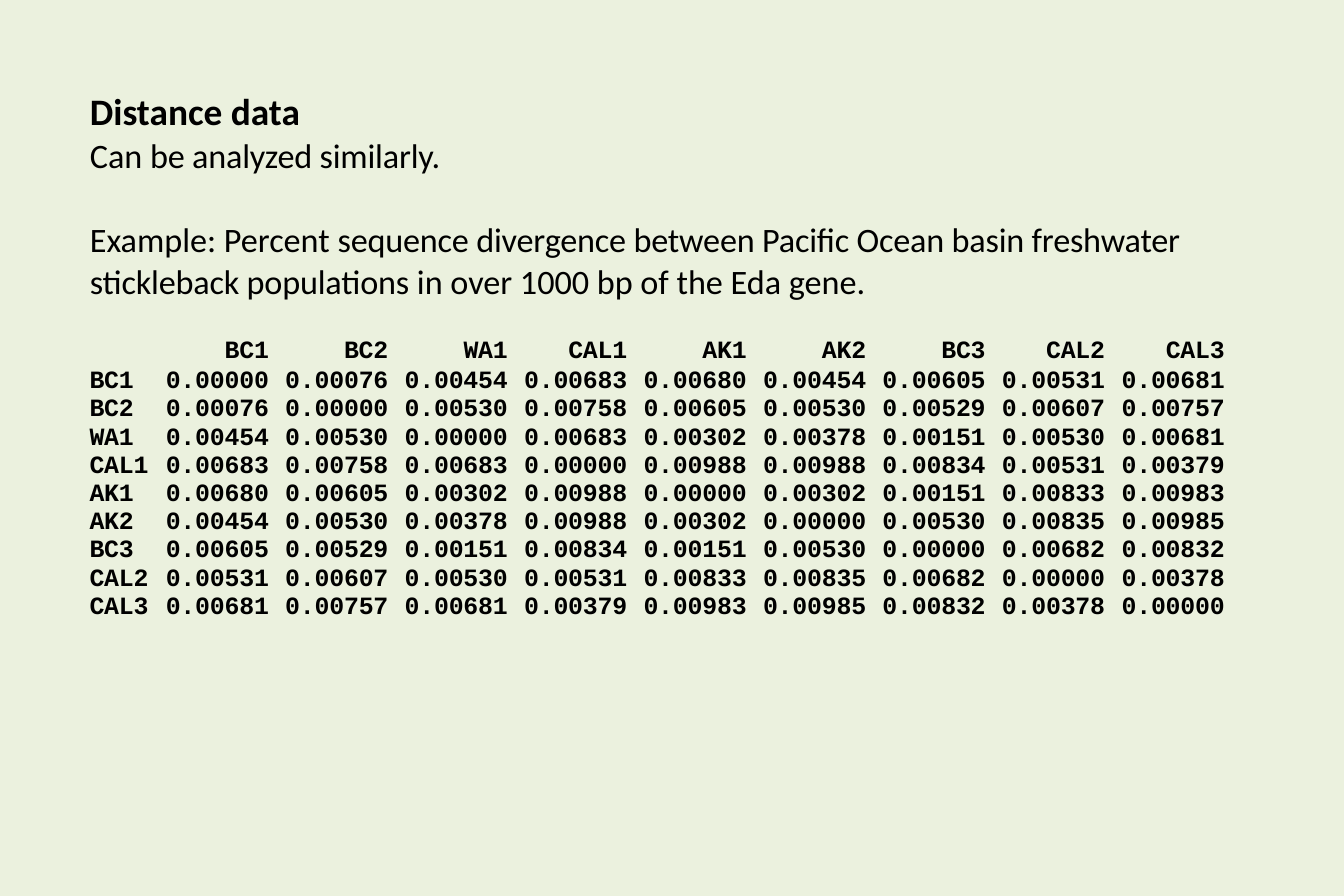
from pptx import Presentation
from pptx.dml.color import RGBColor
from pptx.enum.text import MSO_ANCHOR, PP_ALIGN
from pptx.util import Pt

LEFT, RIGHT, TOP = PP_ALIGN.LEFT, PP_ALIGN.RIGHT, MSO_ANCHOR.TOP
PALE_GREEN = RGBColor(0xEB, 0xF1, 0xDE)
BLACK = RGBColor(0, 0, 0)
BODY_FONT, DATA_FONT = "Calibri", "Courier New"
DATA_SIZE = 16
TIGHT = -0.1
NO_GRID_STYLE = "{2D5ABB26-0587-4C30-8999-92F81FD0307C}"

POPULATIONS = ["BC1", "BC2", "WA1", "CAL1", "AK1", "AK2", "BC3", "CAL2", "CAL3"]
# Lower triangle of the symmetric distance matrix
DIVERGENCE = [
    [0],
    [0.00076, 0],
    [0.00454, 0.00530, 0],
    [0.00683, 0.00758, 0.00683, 0],
    [0.00680, 0.00605, 0.00302, 0.00988, 0],
    [0.00454, 0.00530, 0.00378, 0.00988, 0.00302, 0],
    [0.00605, 0.00529, 0.00151, 0.00834, 0.00151, 0.00530, 0],
    [0.00531, 0.00607, 0.00530, 0.00531, 0.00833, 0.00835, 0.00682, 0],
    [0.00681, 0.00757, 0.00681, 0.00379, 0.00983, 0.00985, 0.00832, 0.00378, 0],
]


def add_run(paragraph, text, size, font=BODY_FONT, bold=False, spacing=0):
    run = paragraph.add_run()
    run.text = text
    run.font.name = font
    run.font.size = Pt(size)
    run.font.bold = bold
    run.font.color.rgb = BLACK
    if spacing:
        run.font._element.set("spc", str(round(spacing * 100)))


def add_text_frame(slide, left, top, width, height):
    frame = slide.shapes.add_textbox(Pt(left), Pt(top), Pt(width), Pt(height)).text_frame
    frame.word_wrap = True
    frame.margin_left = Pt(0.9)
    frame.margin_top = Pt(1.5)
    frame.margin_right = frame.margin_bottom = 0
    return frame


def add_heading(slide, left, top, width, height):
    frame = add_text_frame(slide, left, top, width, height)
    add_run(frame.paragraphs[0], "Distance data", 24, bold=True)
    remark = frame.add_paragraph()
    remark.space_before = Pt(0.6)
    add_run(remark, "Can ", 22)
    add_run(remark, "be analyzed similarly.", 22, spacing=TIGHT)


def add_example(slide, left, top, width, height):
    example = add_text_frame(slide, left, top, width, height).paragraphs[0]
    example.line_spacing = 1.02
    add_run(example, "Example: Percent ", 22)
    add_run(example, "sequence divergence between Pacific Ocean basin freshwater "
            "stickleback populations ", 22, spacing=TIGHT)
    add_run(example, "in over 1000 bp of the Eda gene.", 22)


def distance_rows():
    """Return the header row and the full matrix mirrored from its lower triangle."""
    rows = [[""] + POPULATIONS]
    for i, name in enumerate(POPULATIONS):
        distances = [DIVERGENCE[max(i, j)][min(i, j)] for j in range(len(POPULATIONS))]
        rows.append([name] + [f"{distance:.5f}" for distance in distances])
    return rows


def fill_cell(cell, text, align, margin_right):
    cell.fill.background()
    cell.vertical_anchor = TOP
    cell.margin_top = cell.margin_bottom = 0
    cell.margin_left = Pt(2.2) if align == LEFT else 0
    cell.margin_right = Pt(margin_right)
    paragraph = cell.text_frame.paragraphs[0]
    paragraph.alignment = align
    paragraph.line_spacing = Pt(16.6)
    if text:
        add_run(paragraph, text, DATA_SIZE, DATA_FONT, True, TIGHT)
    else:
        paragraph._p.get_or_add_endParaRPr().set("sz", str(DATA_SIZE * 100))


def add_distance_table(slide, left, top, width, height):
    rows = distance_rows()
    last = len(rows[0]) - 1
    name_width, column_width = 45.4, 76.8
    frame = slide.shapes.add_table(len(rows), last + 1, Pt(left), Pt(top),
                                   Pt(width), Pt(height))
    table = frame.table
    table.first_row = table.horz_banding = False
    table._tbl.tblPr.find("{*}tableStyleId").text = NO_GRID_STYLE

    for c, column in enumerate(table.columns):
        column.width = Pt(name_width if c == 0 else column_width)
    table.columns[last].width = Pt(width - name_width - (last - 1) * column_width)

    for r, row in enumerate(rows):
        table.rows[r].height = Pt(height / len(rows))
        for c, text in enumerate(row):
            margin_right = {0: 0, last: 2.3}.get(c, 4.7)
            fill_cell(table.cell(r, c), text, RIGHT if c else LEFT, margin_right)


def main():
    deck = Presentation()
    deck.slide_width, deck.slide_height = Pt(864), Pt(576)
    slide = deck.slides.add_slide(deck.slide_layouts[6])
    slide.background.fill.solid()
    slide.background.fill.fore_color.rgb = PALE_GREEN
    add_heading(slide, 56.9, 55.4, 232.6, 57.6)
    add_example(slide, 56.9, 138.2, 715, 55.4)
    add_distance_table(slide, 55.4, 218.9, 734.4, 181.3)
    deck.save("out.pptx")


if __name__ == "__main__":
    main()
